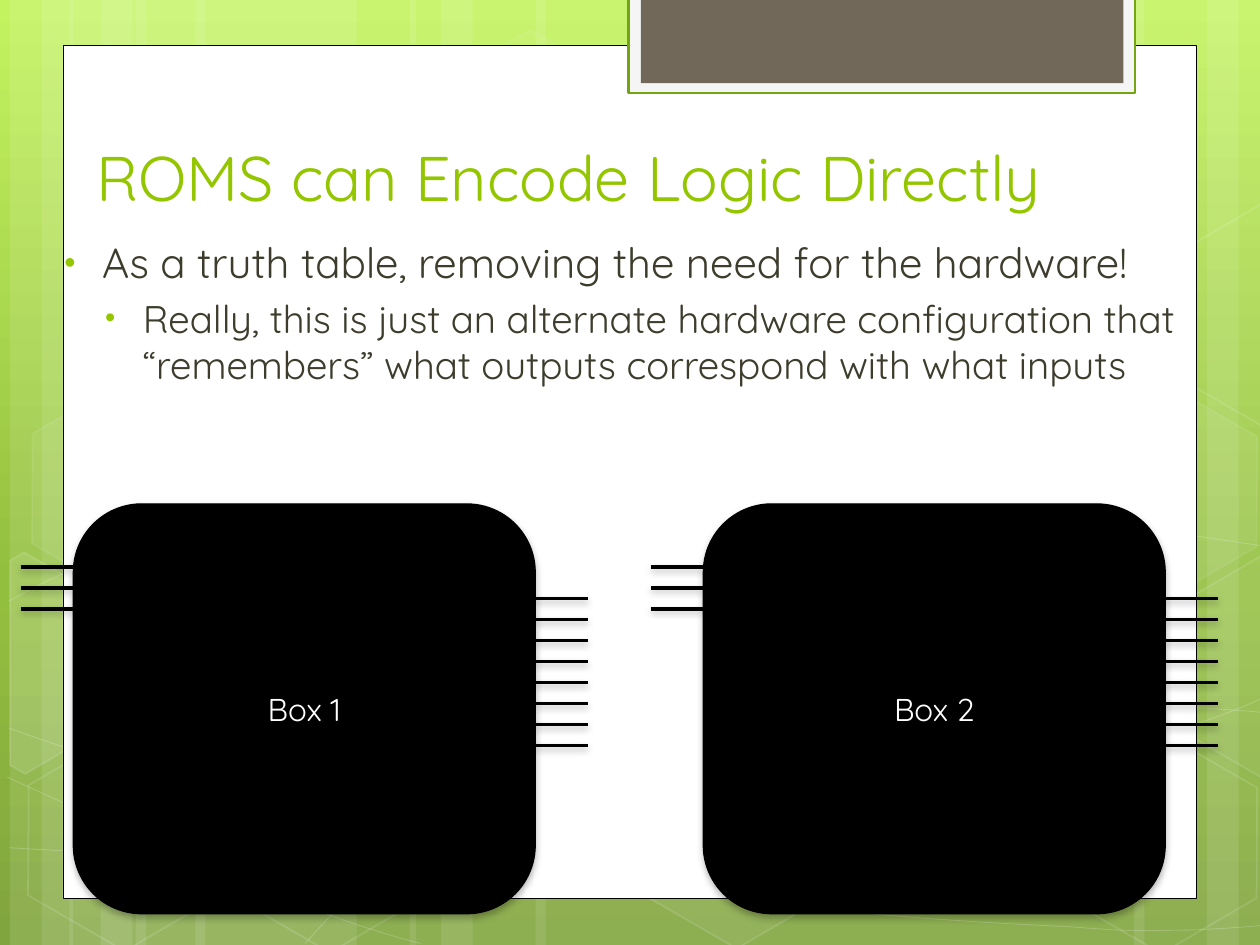
from math import cos, radians, sin
from typing import NamedTuple, Optional

from pptx import Presentation
from pptx.dml.color import RGBColor
from pptx.enum.shapes import MSO_CONNECTOR as Connector, MSO_SHAPE as Preset
from pptx.enum.text import MSO_ANCHOR as Anchor, PP_ALIGN as Align
from pptx.oxml import parse_xml
from pptx.oxml.ns import nsdecls, qn
from pptx.util import Cm, Pt

WIDTH, HEIGHT = 25.4, 19.05
WHITE, BLACK, GREEN, INK = "FFFFFF", "000000", "94C600", "3E3D2D"
NS = nsdecls("a")
PIN_LENGTH, PIN_PITCH, TILT = 1.06, 2.54 / 6, 30


class Frame(NamedTuple):
    left: float
    top: float
    width: float
    height: float


class Style(NamedTuple):
    fill: Optional[str] = None
    line: Optional[str] = None
    weight: float = 1
    fill_alpha: int = 100
    line_alpha: int = 100
    shadow: bool = False


class Hexagon(NamedTuple):
    left: float
    top: float
    fill_alpha: int
    line_alpha: int


class Bullet(NamedTuple):
    text: str
    level: int
    size: int
    indent: float
    before: float


# Lengths below are centimetres
STRIPS = [(2.74, 4.45), (0.2, 1.27), (0.84, 2.11), (3.94, 4.45), (1.4, 1.27), (2.03, 2.11),
          (18.62, 4.45), (24.33, 1.27), (22.86, 2.11), (10.8, 7.82), (8.26, 1.27), (8.89, 2.11)]

# Each curve: a start point, then three Bezier points per segment
CURVES = [
    [(0.18, 17.09), (1.55, 17.17), (2.92, 17.25), (4.83, 17.22), (6.73, 17.2), (9.09, 17.15),
     (11.63, 16.89), (14.17, 16.64), (17.78, 16.15), (20.12, 15.67), (22.43, 15.19),
     (24.82, 14.43), (25.58, 14)],
    [(0.18, 12.12), (0.91, 11.71), (1.65, 11.33), (3.07, 10.95), (4.52, 10.57), (6.58, 10.01),
     (8.81, 9.83), (11.07, 9.65), (13.82, 9.63), (16.61, 9.83), (19.41, 10.03),
     (24.05, 10.82), (25.58, 11.02)],
    [(0.15, 15.67), (3.23, 17.07), (6.27, 18.47), (8.48, 19.02)],
    [(0.18, 14.68), (0.97, 14.96), (1.78, 15.24), (3.25, 15.65), (4.72, 16.03), (6.93, 16.66),
     (9.07, 17.09), (11.18, 17.53), (13.84, 17.98), (15.95, 18.24), (18.06, 18.52),
     (20.32, 18.62), (21.67, 18.69), (22.99, 18.8), (23.34, 18.75), (24, 18.75),
     (24.66, 18.72), (25.12, 18.69), (25.58, 18.64)],
    [(6.15, 19.02), (6.6, 18.52), (7.06, 18.01), (7.67, 17.55), (8.28, 17.09), (9.14, 16.59),
     (9.86, 16.23), (10.57, 15.88), (11, 15.72), (11.94, 15.47), (12.85, 15.21),
     (14.55, 14.86), (15.44, 14.68), (16.36, 14.5), (16.48, 14.5), (17.27, 14.45),
     (18.06, 14.38), (19.3, 14.3), (20.17, 14.27), (21.06, 14.25), (22.5, 14.27),
     (22.5, 14.27), (22.5, 14.27), (24.21, 14.27), (24.21, 14.27), (24.66, 14.3),
     (25.1, 14.33), (25.32, 14.35), (25.55, 14.38), (25.48, 14.35), (25.55, 14.38)],
]

HEXAGONS = [Hexagon(8.48, 0.91, 4, 8), Hexagon(12.62, 14.96, 6, 12), Hexagon(0.28, 15.01, 0, 12),
            Hexagon(0.36, 7.92, 7, 8), Hexagon(4.42, 15.04, 0, 12), Hexagon(19.13, 11.51, 10, 12),
            Hexagon(21.18, 15.06, 0, 12), Hexagon(21.18, 7.98, 7, 8)]

# Hexagons cut off by the slide edge
LEFT_CUT = [(0.2, 11.3), (0.48, 11.13), (2.44, 12.24), (2.41, 14.48), (0.51, 15.6), (0.2, 15.42)]
RIGHT_CUT = [(23.52, 12.32), (25.43, 11.2), (25.63, 11.33), (25.63, 15.57), (25.45, 15.67),
             (23.52, 14.55)]
UPPER_CUT = [(x, y - 7.09) for x, y in RIGHT_CUT]

BULLETS = [
    Bullet("As a truth table, removing the need for the hardware!", 0, 24, 0.97, 0),
    Bullet("Really, this is just an alternate hardware configuration that “remembers” "
           "what outputs correspond with what inputs", 1, 22, 1.79, 4.4),
]


def color(value: str) -> RGBColor:
    return RGBColor.from_string(value)


def apply(target, values: dict) -> None:
    for name, value in values.items():
        setattr(target, name, value)


def paint(fill, value: Optional[str], alpha: int = 100) -> None:
    if value is None or alpha == 0:
        fill.background()
        return
    fill.solid()
    fill.fore_color.rgb = color(value)
    if alpha < 100:
        tint = fill._xPr.find(qn("a:solidFill"))[0]
        tint.append(parse_xml(f'<a:alpha {NS} val="{alpha * 1000}"/>'))


def finish(item, style: Style) -> None:
    """Set fill, line and shadow of a shape or connector."""
    if hasattr(item, "fill"):
        paint(item.fill, style.fill, style.fill_alpha)
    paint(item.line.fill, style.line, style.line_alpha)
    if style.line:
        item.line.width = Pt(style.weight)
    shadow = ('<a:outerShdw blurRad="50800" dist="25400" dir="5400000" rotWithShape="0">'
              '<a:srgbClr val="000000"><a:alpha val="28000"/></a:srgbClr></a:outerShdw>')
    content = shadow if style.shadow else ""
    item._element.spPr.append(parse_xml(f"<a:effectLst {NS}>{content}</a:effectLst>"))


def add_preset(page, preset, frame: Frame, style: Style):
    shape = page.shapes.add_shape(preset, *map(Cm, frame))
    finish(shape, style)
    return shape


def add_outline(page, points: list, style: Style, closed: bool):
    start, *rest = [(Cm(x), Cm(y)) for x, y in points]
    builder = page.shapes.build_freeform(*start)
    builder.add_line_segments(rest, close=closed)
    shape = builder.convert_to_shape()
    finish(shape, style)
    return shape


def add_curve(page, points: list) -> None:
    shape = add_outline(page, points, Style(line=WHITE, weight=0.5, line_alpha=20), False)
    lines = shape._element.findall(".//" + qn("a:lnTo"))
    for first in range(0, len(lines), 3):
        bend = parse_xml(f"<a:cubicBezTo {NS}/>")
        lines[first].addprevious(bend)
        for line in lines[first:first + 3]:
            bend.append(line[0])
            line.getparent().remove(line)


def add_cut(page, points: list, center: tuple, alpha: int) -> None:
    """Draw an outline upright, then tilt it about its center."""
    (mid_x, mid_y), c, s = center, cos(radians(TILT)), sin(radians(TILT))
    upright = [(mid_x + c * (x - mid_x) + s * (y - mid_y), mid_y - s * (x - mid_x) + c * (y - mid_y))
               for x, y in points]
    add_outline(page, upright, Style(WHITE, WHITE, 1, alpha, 12), True).rotation = TILT


def add_hexagon(page, item: Hexagon) -> None:
    shape = add_preset(page, Preset.HEXAGON, Frame(item.left, item.top, 4.45, 3.86),
                       Style(WHITE, WHITE, 1, item.fill_alpha, item.line_alpha))
    shape.adjustments[0], shape.adjustments[1] = 0.285, 1.155
    shape.rotation = TILT


def add_span(para, text: str, size: int, value: str) -> None:
    span = para.add_run()
    span.text = text
    apply(span.font, {"name": "Quicksand", "size": Pt(size)})
    span.font.color.rgb = color(value)


def add_text_frame(page, frame: Frame, anchor):
    text_frame = page.shapes.add_textbox(*map(Cm, frame)).text_frame
    apply(text_frame, {"word_wrap": True, "vertical_anchor": anchor})
    return text_frame


def add_bullet(para, bullet: Bullet) -> None:
    props = para._p.get_or_add_pPr()
    apply(para, {"level": bullet.level, "space_before": Pt(bullet.before)})
    props.set("marL", str(Cm(bullet.indent)))
    props.set("indent", str(Cm(-0.76)))
    for tag in (f'<a:buClr {NS}><a:srgbClr val="{GREEN}"/></a:buClr>', f'<a:buSzPct {NS} val="76000"/>',
                f'<a:buFont {NS} typeface="Arial"/>', f'<a:buChar {NS} char="•"/>'):
        props.append(parse_xml(tag))
    add_span(para, bullet.text, bullet.size, INK)


def add_pins(page, left: float, top: float, count: int) -> None:
    for index in range(count):
        y = Cm(top + index * PIN_PITCH)
        pin = page.shapes.add_connector(Connector.STRAIGHT, Cm(left), y, Cm(left + PIN_LENGTH), y)
        finish(pin, Style(line=BLACK, weight=1.75, shadow=True))


def add_black_box(page, label: str, left: float) -> None:
    frame = Frame(left, 10.16, 9.31, 8.26)
    box = add_preset(page, Preset.ROUNDED_RECTANGLE, frame, Style(BLACK, BLACK, 0.75, shadow=True))
    box.text_frame.vertical_anchor = Anchor.MIDDLE
    para = box.text_frame.paragraphs[0]
    para.alignment = Align.CENTER
    add_span(para, label, 18, WHITE)
    add_pins(page, left - PIN_LENGTH, 11.43, 3)
    add_pins(page, left + frame.width, 12.06, 8)


def add_backdrop(page) -> None:
    # Gradient
    fill = page.background.fill
    fill.gradient()
    fill.gradient_angle = 270
    stops = page._element.find(".//" + qn("a:gsLst"))
    stops[:] = [parse_xml(f'<a:gs {NS} pos="{place * 1000}"><a:srgbClr val="{value}"/></a:gs>')
                for place, value in ((0, "C3F35F"), (62, "93BF3F"), (100, "81A53E"))]
    # Strips, curves and hexagons
    for left, width in STRIPS:
        add_preset(page, Preset.RECTANGLE, Frame(left, 0, width, HEIGHT), Style(WHITE, fill_alpha=10))
    for curve in CURVES:
        add_curve(page, curve)
    for index, item in enumerate(HEXAGONS):
        if index == 2:
            add_cut(page, LEFT_CUT, (0.91, 13.59), 10)
        add_hexagon(page, item)
    add_cut(page, RIGHT_CUT, (25.02, 13.21), 4)
    add_cut(page, UPPER_CUT, (25.02, 6.12), 0)
    # Card and tab
    for frame, style in ((Frame(1.27, 0.91, 22.86, 17.2), Style(WHITE, BLACK, 0.5)),
                         (Frame(12.67, -0.05, 10.21, 1.93), Style("F5F5F5", "74A510", 1.25)),
                         (Frame(12.92, -0.05, 9.73, 1.73), Style("71685A"))):
        add_preset(page, Preset.RECTANGLE, frame, style)


def main() -> None:
    deck = Presentation()
    apply(deck, {"slide_width": Cm(WIDTH), "slide_height": Cm(HEIGHT)})
    page = deck.slides.add_slide(deck.slide_layouts[6])
    add_backdrop(page)
    # Title and bullets
    title = add_text_frame(page, Frame(1.7, 1.27, 22.07, 3.18), Anchor.BOTTOM)
    add_span(title.paragraphs[0], "ROMS can Encode Logic Directly", 36, GREEN)
    body = add_text_frame(page, Frame(0.84, 4.65, 23.7, 9.75), Anchor.TOP)
    for index, bullet in enumerate(BULLETS):
        add_bullet(body.add_paragraph() if index else body.paragraphs[0], bullet)
    # Black boxes with their pins
    for label, left in (("Box 1", 1.48), ("Box 2", 14.18)):
        add_black_box(page, label, left)
    deck.save("out.pptx")


if __name__ == "__main__":
    main()
